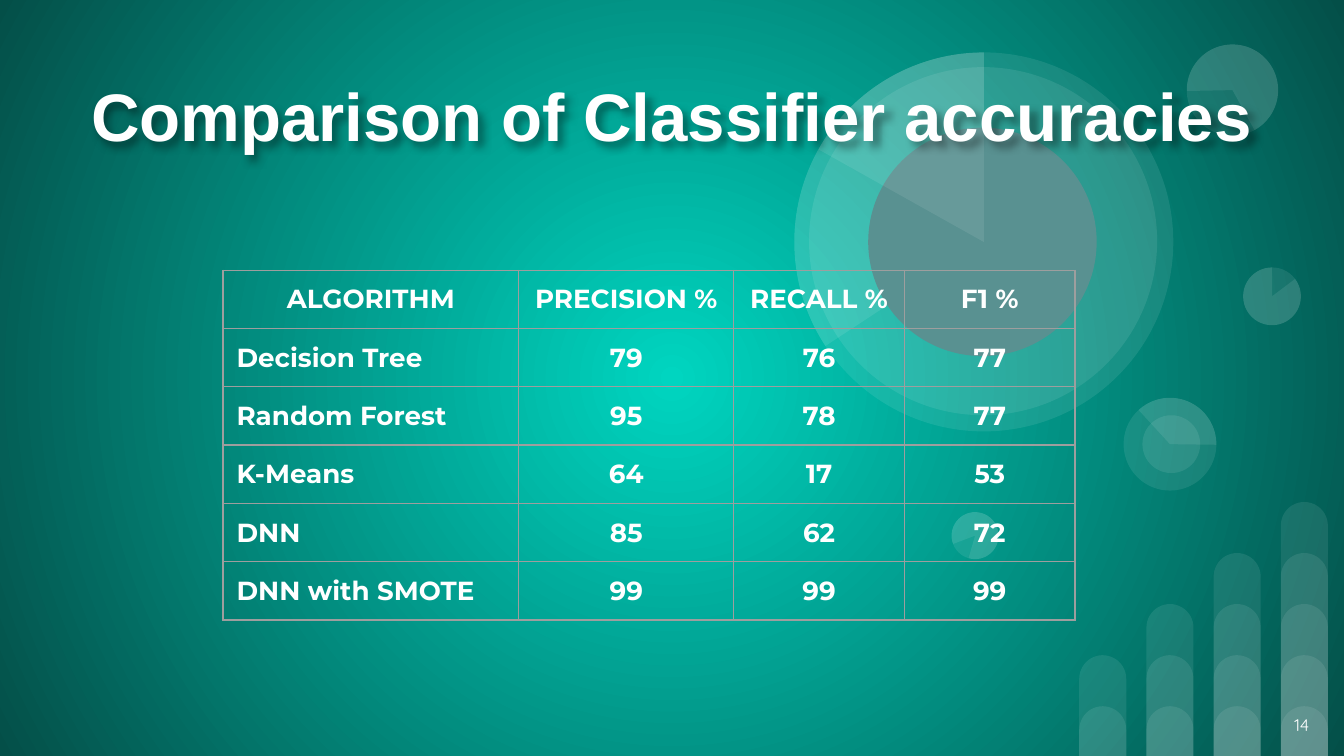
"""Build the slide that compares classifier accuracies in a table."""
from pptx import Presentation
from pptx.dml.color import RGBColor
from pptx.enum.shapes import MSO_SHAPE
from pptx.enum.text import MSO_ANCHOR, PP_ALIGN
from pptx.oxml import parse_xml
from pptx.oxml.ns import nsdecls, qn
from pptx.util import Inches, Pt

BAR = MSO_SHAPE.ROUND_2_SAME_RECTANGLE
DISC, WEDGE = MSO_SHAPE.OVAL, MSO_SHAPE.PIE
LEFT, CENTER, RIGHT = PP_ALIGN.LEFT, PP_ALIGN.CENTER, PP_ALIGN.RIGHT
MIDDLE = MSO_ANCHOR.MIDDLE

TITLE = "Comparison of Classifier accuracies"
PAGE_NUMBER = "14"
ROWS = [
    ("ALGORITHM", "PRECISION %", "RECALL %", "F1 %"),
    ("Decision Tree", "79", "76", "77"),
    ("Random Forest", "95", "78", "77"),
    ("K-Means", "64", "17", "53"),
    ("DNN", "85", "62", "72"),
    ("DNN with SMOTE", "99", "99", "99"),
]
COLUMN_WIDTHS = (2.2, 1.6, 1.27, 1.27)
ROW_HEIGHT = 0.42

THEME = {
    "glow": "00D5C0", "edge": "044F48", "white": "FFFFFF",
    "hub": "599191", "border": "9E9E9E", "shadow": "000000",
    "title": {"size": 36, "font": "Arial", "bold": True},
    "table": {"size": 14, "font": "Montserrat", "bold": True},
    "number": {"size": 9, "font": "Quicksand"},
}
VEIL = 9
WIDTH = 10
HEIGHT = WIDTH * 9 / 16
MARGIN = 0.1

BAR_COLUMNS = 4
BAR_LEFT, BAR_PITCH, BAR_WIDTH = 8.03, 0.5, 0.35
BAR_BASE, BAR_STEP = 0.37, 0.38

# left, top, diameter, rotation, then the wedge's start and end in degrees
DIALS = [
    (9.25, 1.99, 0.43, 0, None),
    (7.08, 3.81, 0.35, 196.2, None),
    (8.36, 2.96, 0.69, 90, None),
    (8.36, 2.96, 0.69, 90, (137.41, 270.77)),
    (8.5, 3.09, 0.43, 90, None),
    (9.25, 1.99, 0.43, 0, (322.95, 270)),
    (8.83, 0.33, 0.68, 215.9, None),
    (8.83, 0.33, 0.68, 215.9, (322.95, 205.23)),
    (5.91, 0.39, 2.82, 0, None),
    (6.02, 0.5, 2.59, 34.1, None),
    (5.91, 0.39, 2.82, 0, (146.69, 270)),
    (6.46, 0.95, 1.7, 34.1, None),
    (5.91, 0.39, 2.82, 0, (209.24, 270)),
    (7.08, 3.81, 0.35, 196.2, (322.95, 270)),
]
HUB_DIAMETER = 1.7


def color(name):
    return RGBColor.from_string(THEME[name])


def write(frame, text, size, font, bold=False, align=CENTER):
    frame.word_wrap = True
    para = frame.paragraphs[0]
    para.alignment = align
    span = para.add_run()
    span.text = text
    span.font.size, span.font.name, span.font.bold = Pt(size), font, bold
    span.font.color.rgb = color("white")


def set_margins(holder):
    holder.margin_left = holder.margin_right = Inches(MARGIN)
    holder.margin_top = holder.margin_bottom = Inches(MARGIN)


def add_text(page, place, text, **format):
    box = page.shapes.add_textbox(*map(Inches, place))
    set_margins(box.text_frame)
    box.text_frame.vertical_anchor = MIDDLE
    write(box.text_frame, text, **format)
    return box


def add_figure(page, kind, place, fill="white", alpha=VEIL, rotation=0):
    figure = page.shapes.add_shape(kind, *map(Inches, place))
    figure.shadow.inherit = False
    figure.line.fill.background()
    figure.fill.solid()
    figure.fill.fore_color.rgb = color(fill)
    figure.rotation = rotation
    if alpha < 100:
        tint = figure.element.spPr.find(".//" + qn("a:srgbClr"))
        tint.append(parse_xml(f'<a:alpha {nsdecls("a")} val="{alpha * 1000}"/>'))
    return figure


def paint_background(page):
    fill = page.background.fill
    fill.gradient()
    for stop, name in zip(fill.gradient_stops, ("glow", "edge")):
        stop.color.rgb = color(name)
    gradient = page.element.find(".//" + qn("a:gradFill"))
    gradient.replace(gradient.find(qn("a:lin")), parse_xml(
        f'<a:path {nsdecls("a")} path="circle">'
        '<a:fillToRect l="50000" t="50000" r="50000" b="50000"/></a:path>'))


def add_bars(page):
    for column in range(BAR_COLUMNS):
        for level in range(column + 2):
            height = BAR_BASE + level * BAR_STEP
            place = (BAR_LEFT + column * BAR_PITCH, HEIGHT - height, BAR_WIDTH, height)
            bar = add_figure(page, BAR, place)
            bar.adjustments[0], bar.adjustments[1] = 0.5, 0


def add_dials(page):
    for left, top, diameter, rotation, angles in DIALS:
        place = (left, top, diameter, diameter)
        hub = {"fill": "hub", "alpha": 100} if diameter == HUB_DIAMETER else {}
        dial = add_figure(page, WEDGE if angles else DISC, place, rotation=rotation, **hub)
        for index, angle in enumerate(angles or ()):
            dial.adjustments[index] = angle * 0.6


def add_title(page):
    title = add_text(page, (0, 0.32, WIDTH, 1.07), TITLE, **THEME["title"])
    title.element.spPr.append(parse_xml(
        f'<a:effectLst {nsdecls("a")}>'
        '<a:outerShdw blurRad="50800" dist="38100" dir="2700000" algn="tl" rotWithShape="0">'
        f'<a:srgbClr val="{THEME["shadow"]}"><a:alpha val="40000"/></a:srgbClr>'
        '</a:outerShdw></a:effectLst>'))


def add_borders(cell):
    properties = cell._tc.get_or_add_tcPr()
    for index, side in enumerate(("lnL", "lnR", "lnT", "lnB")):
        properties.insert(index, parse_xml(
            f'<a:{side} {nsdecls("a")} w="{Pt(0.75)}"><a:solidFill>'
            f'<a:srgbClr val="{THEME["border"]}"/></a:solidFill></a:{side}>'))


def add_results(page):
    place = (1.66, 2.01, sum(COLUMN_WIDTHS), ROW_HEIGHT * len(ROWS))
    table = page.shapes.add_table(
        len(ROWS), len(COLUMN_WIDTHS), *map(Inches, place)).table
    table.first_row = table.horz_banding = False
    for column, width in zip(table.columns, COLUMN_WIDTHS):
        column.width = Inches(width)
    for row_index, values in enumerate(ROWS):
        table.rows[row_index].height = Inches(ROW_HEIGHT)
        for column_index, value in enumerate(values):
            cell = table.cell(row_index, column_index)
            set_margins(cell)
            cell.fill.background()
            add_borders(cell)
            align = LEFT if row_index and not column_index else CENTER
            write(cell.text_frame, value, align=align, **THEME["table"])


def main():
    deck = Presentation()
    deck.slide_width, deck.slide_height = Inches(WIDTH), Inches(HEIGHT)
    page = deck.slides.add_slide(deck.slide_layouts[6])
    paint_background(page)
    add_bars(page)
    add_dials(page)
    add_title(page)
    add_text(page, (9.24, 5.18, 0.6, 0.43), PAGE_NUMBER, align=RIGHT, **THEME["number"])
    add_results(page)
    deck.save("out.pptx")


if __name__ == "__main__":
    main()
